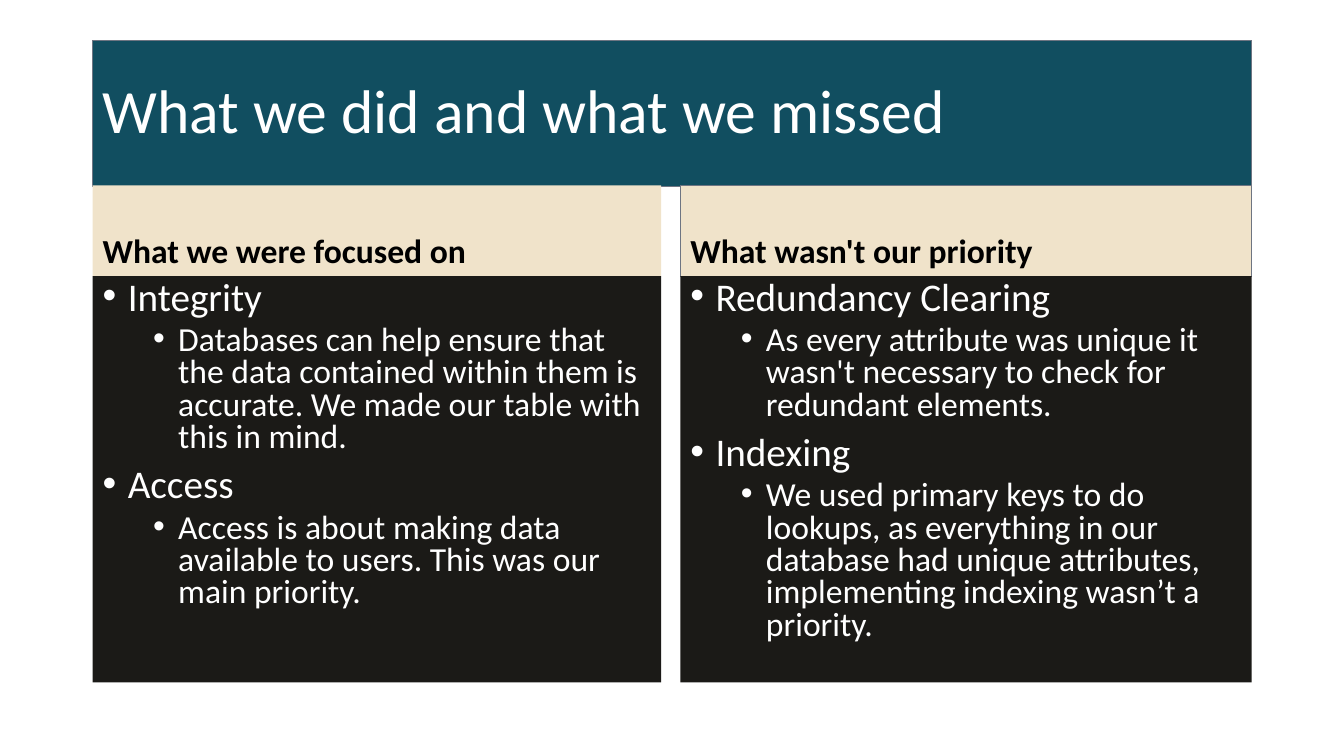
from dataclasses import dataclass

from lxml.etree import SubElement
from pptx import Presentation
from pptx.dml.color import RGBColor
from pptx.enum.text import MSO_ANCHOR, MSO_AUTO_SIZE, PP_ALIGN
from pptx.oxml.ns import qn
from pptx.util import Inches, Pt


@dataclass(frozen=True)
class Theme:
    font: str = "Calibri"
    teal: str = "114E60"
    sand: str = "F0E3CA"
    charcoal: str = "1B1A17"
    outline: str = "6E7582"
    light: str = "FFFFFF"
    dark: str = "000000"
    title_size: int = 44
    heading_size: int = 24
    bullet_sizes: tuple = (28, 24)
    bullet_space: tuple = (10, 5)
    bullet_indents: tuple = (0.25, 0.75)
    hanging: float = 0.25


# Positions and sizes are percentages of the slide's width and height.
LEFT, TOTAL_WIDTH = 6.9, 86.25
TITLE_TOP, TITLE_HEIGHT = 5.33, 19.33
HEADING_TOP, HEADING_HEIGHT = 24.53, 12
BODY_TOP, BODY_HEIGHT = HEADING_TOP + HEADING_HEIGHT, 53.73

# Left, width, heading, whether the heading is outlined, topics
COLUMNS = [
    (LEFT, 42.3, "What we were focused on", False, [
        ("Integrity",
         "Databases can help ensure that the data contained within them is "
         "accurate. We made our table with this in mind."),
        ("Access",
         "Access is about making data available to users. "
         "This was our main priority."),
    ]),
    (50.63, 42.5, "What wasn't our priority", True, [
        ("Redundancy Clearing",
         "As every attribute was unique it wasn't necessary to check for "
         "redundant elements."),
        ("Indexing",
         "We used primary keys to do lookups, as everything in our database "
         "had unique attributes, implementing indexing wasn’t a priority."),
    ]),
]


class ComparisonSlide:
    def __init__(self, presentation, theme):
        self.theme = theme
        self.width = presentation.slide_width
        self.height = presentation.slide_height
        self.slide = presentation.slides.add_slide(presentation.slide_layouts[5])

    def place(self, left, top, width, height):
        """Turn percentages of the slide into lengths."""
        return (int(self.width * left / 100), int(self.height * top / 100),
                int(self.width * width / 100), int(self.height * height / 100))

    def style_panel(self, shape, fill, anchor, outlined=False):
        shape.fill.solid()
        shape.fill.fore_color.rgb = RGBColor.from_string(fill)
        if outlined:
            shape.line.color.rgb = RGBColor.from_string(self.theme.outline)
            shape.line.width = Pt(0.75)
        frame = shape.text_frame
        frame.word_wrap = True
        frame.auto_size = MSO_AUTO_SIZE.NONE
        frame.vertical_anchor = anchor
        return frame

    def style_paragraph(self, paragraph, text, size, color, spacing=0.9,
                        before=0, bold=False):
        paragraph.text = text
        paragraph.alignment = PP_ALIGN.LEFT
        paragraph.line_spacing = spacing
        paragraph.space_before = Pt(before)
        paragraph.font.name = self.theme.font
        paragraph.font.size = Pt(size)
        paragraph.font.bold = bold
        paragraph.font.color.rgb = RGBColor.from_string(color)

    def title(self, text):
        shape = self.slide.shapes.title
        shape.left, shape.top, shape.width, shape.height = self.place(
            LEFT, TITLE_TOP, TOTAL_WIDTH, TITLE_HEIGHT)
        frame = self.style_panel(shape, self.theme.teal, MSO_ANCHOR.MIDDLE, True)
        self.style_paragraph(frame.paragraphs[0], text,
                             self.theme.title_size, self.theme.light)

    def heading(self, left, width, text, outlined):
        shape = self.slide.shapes.add_textbox(
            *self.place(left, HEADING_TOP, width, HEADING_HEIGHT))
        frame = self.style_panel(shape, self.theme.sand, MSO_ANCHOR.BOTTOM, outlined)
        self.style_paragraph(frame.paragraphs[0], text, self.theme.heading_size,
                             self.theme.dark, before=10, bold=True)

    def topics(self, left, width, topics):
        shape = self.slide.shapes.add_textbox(
            *self.place(left, BODY_TOP, width, BODY_HEIGHT))
        frame = self.style_panel(shape, self.theme.charcoal, MSO_ANCHOR.TOP)
        lines = [(level, text) for topic in topics
                 for level, text in enumerate(topic)]
        for index, (level, text) in enumerate(lines):
            paragraph = frame.add_paragraph() if index else frame.paragraphs[0]
            self.bullet(paragraph, level, text)

    def bullet(self, paragraph, level, text):
        theme = self.theme
        self.style_paragraph(paragraph, text, theme.bullet_sizes[level], theme.light,
                             spacing=0.8, before=theme.bullet_space[level])
        paragraph.level = level
        properties = paragraph._p.get_or_add_pPr()
        properties.set("marL", str(Inches(theme.bullet_indents[level])))
        properties.set("indent", str(-Inches(theme.hanging)))
        bullet_font = SubElement(properties, qn("a:buFont"), typeface="Arial")
        bullet_mark = SubElement(properties, qn("a:buChar"), char="•")
        default_run = properties.find(qn("a:defRPr"))
        default_run.addprevious(bullet_font)
        default_run.addprevious(bullet_mark)


def main():
    presentation = Presentation()
    presentation.slide_width = Inches(13.33)
    presentation.slide_height = Inches(7.5)
    comparison = ComparisonSlide(presentation, Theme())
    comparison.title("What we did and what we missed")
    for left, width, heading, outlined, topics in COLUMNS:
        comparison.heading(left, width, heading, outlined)
        comparison.topics(left, width, topics)
    presentation.save("out.pptx")


if __name__ == "__main__":
    main()
